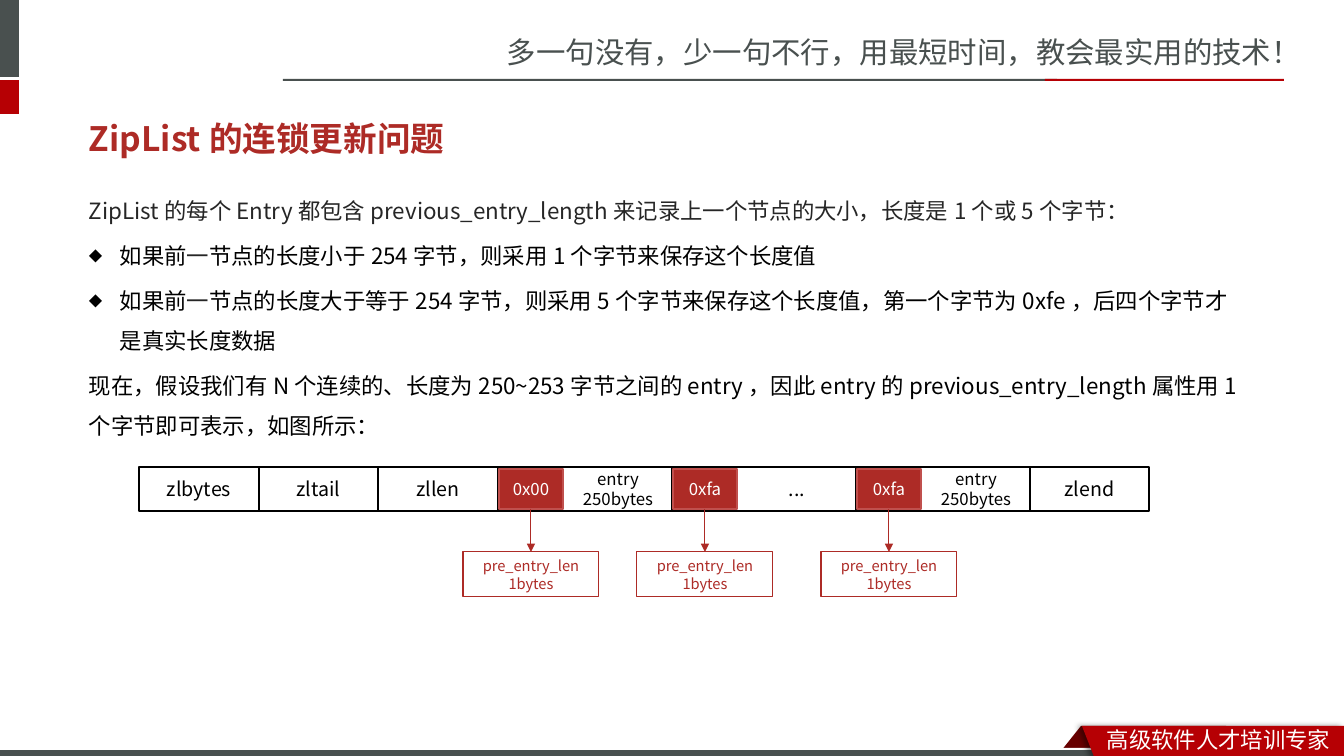
from lxml import etree
from pptx import Presentation
from pptx.dml.color import RGBColor
from pptx.enum.shapes import MSO_CONNECTOR, MSO_SHAPE
from pptx.enum.text import MSO_ANCHOR, PP_ALIGN
from pptx.oxml import parse_xml
from pptx.oxml.ns import nsdecls, qn
from pptx.util import Pt

PX = 12192000 / 1344
FONT = "Noto Sans CJK SC"
BLACK = RGBColor(0, 0, 0)
WHITE = RGBColor(255, 255, 255)
DARK = RGBColor(0x26, 0x26, 0x26)
GREY = RGBColor(0x49, 0x50, 0x4F)
RED = RGBColor(0xB6, 0, 4)
MAROON = RGBColor(0x68, 0, 0)
BRICK = RGBColor(0xAD, 0x2B, 0x26)
ROSE = RGBColor(0xC0, 0x50, 0x4D)
RECT = MSO_SHAPE.RECTANGLE
SLANT = MSO_SHAPE.PARALLELOGRAM
STRAIGHT = MSO_CONNECTOR.STRAIGHT
TOP, MIDDLE = MSO_ANCHOR.TOP, MSO_ANCHOR.MIDDLE
LEFT, CENTER = PP_ALIGN.LEFT, PP_ALIGN.CENTER

BODY = [
    (False, [("ZipList的每个Entry都包含previous_entry_length来记录上一个节点的大小，"
              "长度是1个或5个字节：", DARK)]),
    (True, [("如果前", BLACK), ("一", DARK),
            ("节点的长度小于254字节，则采用1个字节来保存这个长度值", BLACK)]),
    (True, [("如果前", BLACK), ("一", DARK),
            ("节点的长度大于等于254字节，则采用5个字节来保存这个长度值，"
             "第一个字节为0xfe，后四个字节才是真实长度数据", BLACK)]),
    (False, [("现在，假设我们有N个连续的、长度为250~253字节之间的entry，因此entry的"
              "previous_entry_length属性用1个字节即可表示，如图所示：", BLACK)]),
]
# label, width, text size, previous length
CELLS = [
    ("zlbytes", 120, 14, None), ("zltail", 119, 14, None),
    ("zllen", 120, 14, None), ("entry\n250bytes", 174, 12, "0x00"),
    ("...", 184, 14, "0xfa"), ("entry\n250bytes", 174, 12, "0xfa"),
    ("zlend", 119, 14, None),
]
HEAD = 64


def px(num):
    return round(num * PX)


def box(slide, at, fill=None, line=None, width=1, kind=RECT):
    shape = slide.shapes.add_shape(kind, *map(px, at))
    paint(shape, fill, line, width)
    return shape


def paint(shape, fill, line=None, width=1):
    shape.shadow.inherit = False
    for part, color in ((shape.fill, fill), (shape.line.fill, line)):
        if color is None:
            part.background()
        else:
            part.solid()
            part.fore_color.rgb = color
    if line is not None:
        shape.line.width = Pt(width)


def add_run(para, text, size, color, bold=False):
    run = para.add_run()
    run.text = text
    style = {"size": Pt(size), "name": FONT, "bold": bold}
    for name, value in style.items():
        setattr(run.font, name, value)
    run.font.color.rgb = color
    for tag in ("a:ea", "a:cs"):
        etree.SubElement(run.font._element, qn(tag), typeface=FONT)


def set_text(shape, text, size, color, align=CENTER, anchor=MIDDLE, bold=False):
    frame = shape.text_frame
    frame.word_wrap = True
    frame.vertical_anchor = anchor
    for i, line in enumerate(text.split("\n")):
        para = frame.add_paragraph() if i else frame.paragraphs[0]
        para.alignment = align
        add_run(para, line, size, color, bold)


def label(slide, at, *args, **style):
    set_text(slide.shapes.add_textbox(*map(px, at)), *args, align=LEFT, **style)


def arrow(slide, start, end):
    """Join the bottom of one box to the top of the next."""
    link = slide.shapes.add_connector(STRAIGHT, 0, 0, 0, 0)
    link.begin_connect(start, 2)
    link.end_connect(end, 0)
    link.line.color.rgb = BRICK
    link.line.width = Pt(0.75)
    etree.SubElement(link.line._get_or_add_ln(), qn("a:tailEnd"), type="triangle")
    etree.SubElement(link._element.spPr, qn("a:effectLst"))


def ribbon(slide):
    build = slide.shapes.build_freeform(1082, 726, scale=PX)
    build.add_line_segments([(1344, 726), (1344, 760), (1095, 759)], close=True)
    shape = build.convert_to_shape()
    paint(shape, RED)
    glow = parse_xml(
        f'<a:outerShdw {nsdecls("a")} blurRad="50800" dist="38100" dir="10800000">'
        '<a:srgbClr val="000000"><a:alpha val="40000"/></a:srgbClr></a:outerShdw>')
    shape._element.spPr.find(qn("a:effectLst")).append(glow)


def frame_page(slide):
    fold = box(slide, (1057, 726, 169, 30), MAROON, kind=SLANT)
    fold.adjustments[0] = 0.8
    bars = [
        ((0, 748, 1344, 11), WHITE), ((-6, 0, 25, 77), GREY),
        ((-6, 80, 25, 34), RED), ((283, 79, 774, 2), GREY),
        ((1045, 79, 239, 2), RED), ((0, 750, 1108, 9), GREY),
    ]
    for at, fill in bars:
        box(slide, at, fill)
    label(slide, (497, 29, 847, 47), "多一句没有，少一句不行，用最短时间，教会最实用的技术！",
          21, GREY, anchor=TOP)
    ribbon(slide)
    label(slide, (1097, 721, 247, 37), "高级软件人才培训专家", 16, WHITE, anchor=TOP)


def body(slide):
    frame = slide.shapes.add_textbox(*map(px, (79, 179, 1179, 267))).text_frame
    frame.word_wrap = True
    for i, (mark, runs) in enumerate(BODY):
        para = frame.add_paragraph() if i else frame.paragraphs[0]
        para.line_spacing = 1.5
        para.space_before = Pt(3.2)
        if mark:
            props = para._p.get_or_add_pPr()
            props.set("marL", str(px(31)))
            props.set("indent", str(-px(31)))
            etree.SubElement(props, qn("a:buSzPct"), val="60000")
            etree.SubElement(props, qn("a:buFont"), typeface=FONT)
            etree.SubElement(props, qn("a:buChar"), char="◆")
        for text, color in runs:
            add_run(para, text, 16, color)


def clear_head(cell):
    """Centre the text in the part of the cell right of its head."""
    edges = {"left": px(HEAD + 2), "right": 0, "top": 0, "bottom": 0}
    for side, value in edges.items():
        setattr(cell.text_frame, f"margin_{side}", value)


def zip_list(slide):
    left, heads = 139, []
    for text, width, size, prev in CELLS:
        cell = box(slide, (left, 467, width, 44), WHITE, BLACK, 1.5)
        set_text(cell, text, size, BLACK)
        if prev:
            clear_head(cell)
            heads.append((left + 1, prev))
        left += width
    for x, prev in heads:
        head = box(slide, (x, 469, HEAD, 40), BRICK, ROSE)
        set_text(head, prev, 12, WHITE)
        note = box(slide, (x - 36, 552, 136, 45), None, BRICK, 0.75)
        set_text(note, "pre_entry_len\n1bytes", 10.5, BRICK, anchor=TOP)
        arrow(slide, head, note)


def main():
    deck = Presentation()
    deck.slide_width, deck.slide_height = px(1344), px(756)
    slide = deck.slides.add_slide(deck.slide_layouts[6])
    frame_page(slide)
    body(slide)
    label(slide, (79, 117, 1179, 42), "ZipList的连锁更新问题", 24, BRICK, bold=True)
    zip_list(slide)
    deck.save("out.pptx")


if __name__ == "__main__":
    main()
